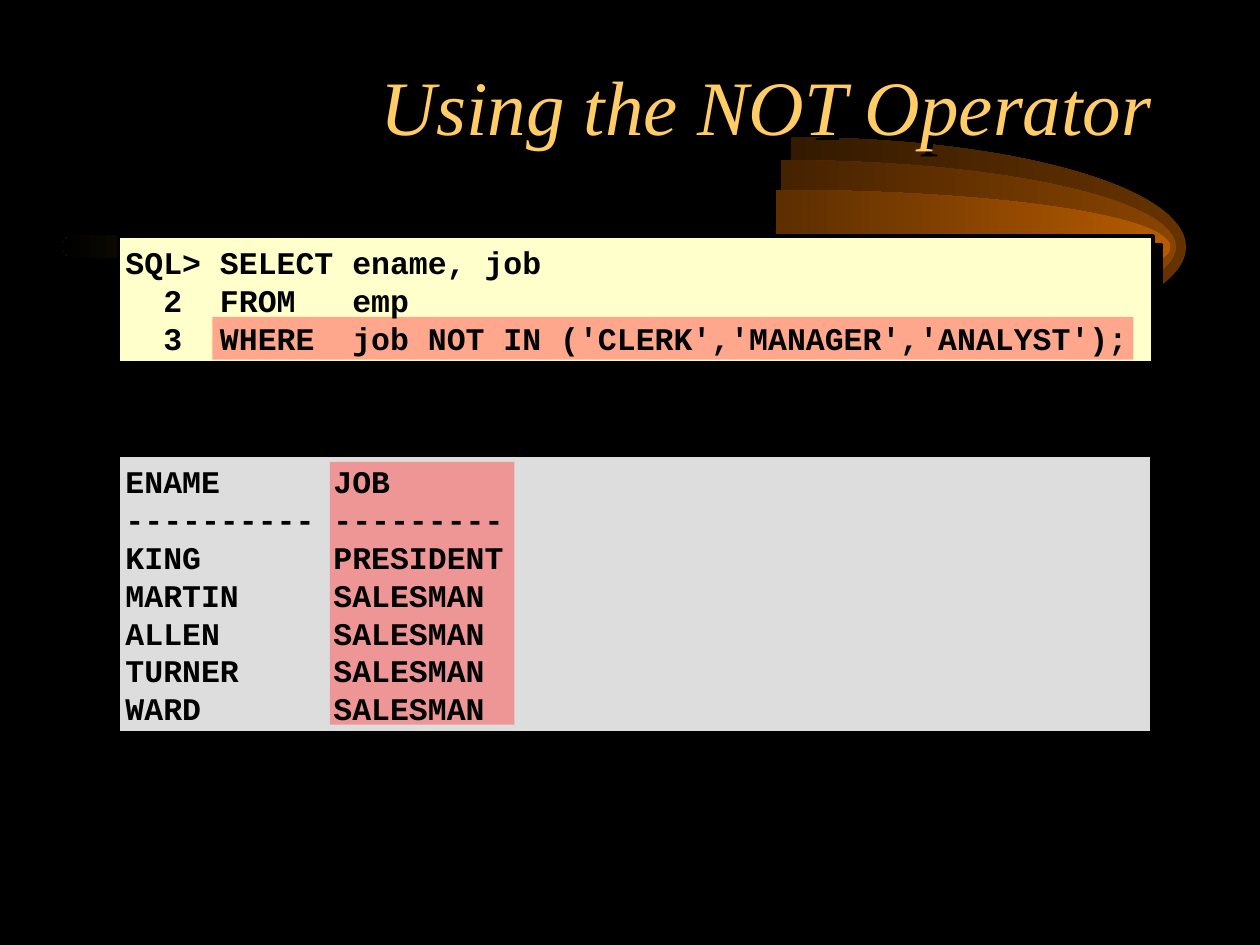
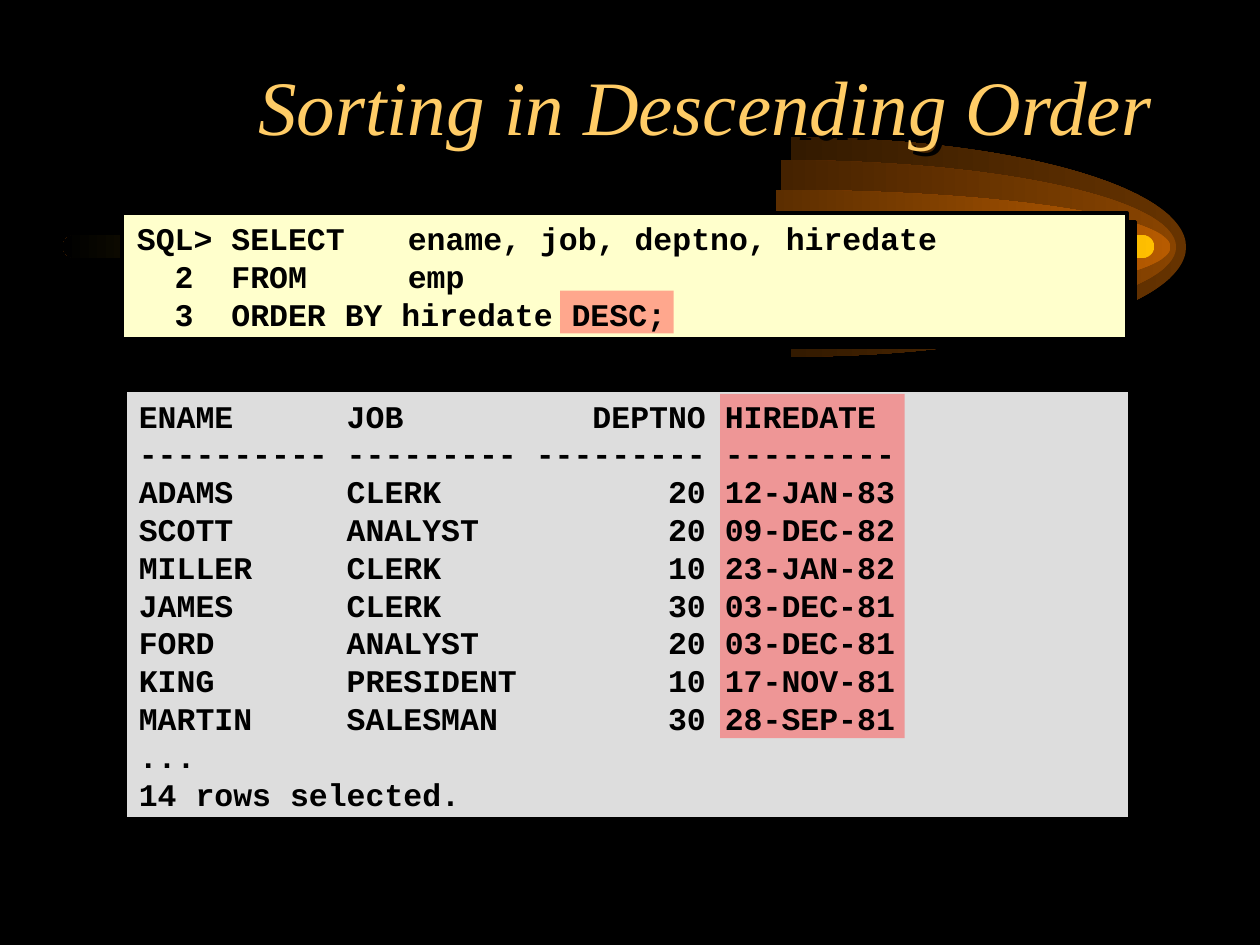
from dataclasses import dataclass

import lxml.etree
import pptx
import pptx.dml.color
import pptx.enum.shapes
import pptx.enum.text
import pptx.oxml
import pptx.oxml.ns
import pptx.util
from pptx.util import Cm

KIND = pptx.enum.shapes.MSO_SHAPE
ALIGN = pptx.enum.text.PP_ALIGN
ANCHOR = pptx.enum.text.MSO_ANCHOR
NS = pptx.oxml.ns.nsdecls("a")
qn = pptx.oxml.ns.qn


@dataclass(frozen=True)
class Theme:
    back: str = "000000"
    ink: str = "000000"
    title: str = "FFCC66"
    query: str = "FFFFCC"
    result: str = "DDDDDD"
    mark: str = "FF5050"
    beam: str = "FFBF00"
    serif: str = "Times New Roman"
    mono: str = "Courier New"
    head: int = 44
    code: int = 18
    edge: int = 2


THEME = Theme()
# Half ellipses: left edge, half height (cm), colour at the tip, colour at the cut
FANS = (
    (15.95, 2.21, "663300", "331A00"),
    (15.75, 1.75, "894400", "452200"),
    (15.64, 1.15, "B75B00", "5C2E00"),
)
FAN_MID, FAN_WIDE = 4.98, 7.96
BEND = 0.55  # control point distance for a quarter ellipse
HALF = ((0, -1), (BEND, -1), (1, -BEND), (1, 0), (1, BEND), (BEND, 1), (0, 1))
TABS = (3.33, 5.08, 7.62, 10.16, 12.7, 15.24, 17.78)

NOT_QUERY = """\
SQL> SELECT ename, job
  2  FROM   emp
  3  WHERE  job NOT IN ('CLERK','MANAGER','ANALYST');"""
NOT_RESULT = """\
ENAME      JOB
---------- ---------
KING       PRESIDENT
MARTIN     SALESMAN
ALLEN      SALESMAN
TURNER     SALESMAN
WARD       SALESMAN"""
SORT_QUERY = """\
SQL> SELECT  \t ename, job, deptno, hiredate
  2  FROM    \t emp
  3  ORDER BY hiredate DESC;"""
SORT_RESULT = """\
ENAME      JOB          DEPTNO HIREDATE
---------- --------- --------- ---------
ADAMS      CLERK            20 12-JAN-83
SCOTT      ANALYST          20 09-DEC-82
MILLER     CLERK            10 23-JAN-82
JAMES      CLERK            30 03-DEC-81
FORD       ANALYST          20 03-DEC-81
KING       PRESIDENT        10 17-NOV-81
MARTIN     SALESMAN         30 28-SEP-81
...
14 rows selected."""


def rgb(code):
    return pptx.dml.color.RGBColor.from_string(code)


def shade(shape, dist):
    """Cast a solid black shadow, dist points to the lower right."""
    props = shape.element.spPr
    for old in props.findall(qn("a:effectLst")):
        props.remove(old)
    props.append(pptx.oxml.parse_xml(
        f'<a:effectLst {NS}><a:outerShdw dist="{pptx.util.Pt(dist)}" dir="2700000">'
        f'<a:srgbClr val="{THEME.ink}"/></a:outerShdw></a:effectLst>'))


def fade(shape, tip, tail):
    """Fill without outline, running from tip at the right to tail at the left."""
    shape.shadow.inherit = False
    shape.line.fill.background()
    shape.fill.gradient()
    shape.fill.gradient_angle = 180
    for stop, color in zip(shape.fill.gradient_stops, (tip, tail)):
        stop.color.rgb = rgb(color)


def curve(shape):
    """Turn each three line segments of the outline into one Bezier curve."""
    lines = list(shape.element.iter(qn("a:lnTo")))
    for first in range(0, len(lines), 3):
        trio = lines[first:first + 3]
        bend = lxml.etree.Element(qn("a:cubicBezTo"))
        trio[0].addprevious(bend)
        for line in trio:
            bend.append(line[0])
            line.getparent().remove(line)


def fan(slide, left, high, tip, tail):
    rim = [(Cm(left + FAN_WIDE * x), Cm(FAN_MID + high * y)) for x, y in HALF]
    pen = slide.shapes.build_freeform(*rim[0])
    pen.add_line_segments(rim[1:], close=True)
    shape = pen.convert_to_shape()
    curve(shape)
    fade(shape, tip, tail)


def rect(slide, area, color):
    shape = slide.shapes.add_shape(KIND.RECTANGLE, *map(Cm, area))
    shape.shadow.inherit = False
    shape.fill.solid()
    shape.fill.fore_color.rgb = rgb(color)
    shape.line.fill.background()
    return shape


def panel(slide, area, color):
    shape = rect(slide, area, color)
    shape.line.color.rgb = rgb(THEME.ink)
    shape.line.width = pptx.util.Pt(THEME.edge)
    shade(shape, 7.1)


def mark(slide, area):
    """Half clear highlight."""
    shape = rect(slide, area, THEME.mark)
    color = shape.element.spPr.find(".//" + qn("a:srgbClr"))
    color.append(pptx.oxml.parse_xml(f'<a:alpha {NS} val="50000"/>'))


def write(slide, text, area, *, font, size, color, bold=False, italic=False,
          align=ALIGN.LEFT, anchor=ANCHOR.TOP, tabs=()):
    box = slide.shapes.add_textbox(*map(Cm, area))
    frame = box.text_frame
    frame.word_wrap = True
    frame.vertical_anchor = anchor
    for index, line in enumerate(text.split("\n")):
        para = frame.add_paragraph() if index else frame.paragraphs[0]
        para.alignment = align
        if tabs:
            stops = "".join(f'<a:tab pos="{Cm(tab)}" algn="l"/>' for tab in tabs)
            para._p.get_or_add_pPr().append(
                pptx.oxml.parse_xml(f"<a:tabLst {NS}>{stops}</a:tabLst>"))
        run = para.add_run()
        run.text = line
        run.font.size = pptx.util.Pt(size)
        run.font.bold, run.font.italic = bold, italic
        run.font.color.rgb = rgb(color)
        run.font.name = font
    return box


def code(slide, text, area):
    write(slide, text, area, font=THEME.mono, size=THEME.code, color=THEME.ink,
          bold=True, anchor=ANCHOR.MIDDLE, tabs=TABS)


def backdrop(slide):
    slide.background.fill.solid()
    slide.background.fill.fore_color.rgb = rgb(THEME.back)
    for shape in FANS:
        fan(slide, *shape)
    beam = slide.shapes.add_shape(KIND.ROUNDED_RECTANGLE,
                                  *map(Cm, (1.27, 4.74, 22, 0.46)))
    beam.adjustments[0] = 0.5
    fade(beam, THEME.beam, THEME.back)


def head(slide, text):
    box = write(slide, text, (1.89, 1.05, 21.59, 3.18), font=THEME.serif,
                size=THEME.head, color=THEME.title, italic=True,
                align=ALIGN.RIGHT)
    shade(box, 4.25)


def lesson(deck, title, panels, marks, texts):
    slide = deck.slides.add_slide(deck.slide_layouts[6])
    backdrop(slide)
    for area, color in zip(panels, (THEME.query, THEME.result)):
        panel(slide, area, color)
    head(slide, title)
    for area in marks:
        mark(slide, area)
    for text, area in texts:
        code(slide, text, area)


def main():
    deck = pptx.Presentation()
    deck.slide_width, deck.slide_height = Cm(25.4), Cm(19.05)
    lesson(deck, "Using the NOT Operator",
           panels=((2.39, 4.76, 20.85, 2.55), (2.39, 9.17, 20.83, 5.6)),
           marks=((4.28, 6.39, 18.57, 0.86), (6.65, 9.31, 3.72, 5.3)),
           texts=((NOT_QUERY, (2.28, 4.74, 20.93, 2.62)),
                  (NOT_RESULT, (2.28, 9.16, 20.9, 5.66))))
    lesson(deck, "Sorting in Descending Order",
           panels=((2.46, 4.29, 20.26, 2.54), (2.53, 7.87, 20.25, 8.64)),
           marks=((11.29, 5.86, 2.29, 0.86), (14.52, 7.94, 3.72, 6.94)),
           texts=((SORT_QUERY, (2.51, 4.25, 20.32, 2.62)),
                  (SORT_RESULT, (2.55, 7.83, 20.32, 8.71))))
    deck.save("out.pptx")


if __name__ == "__main__":
    main()
